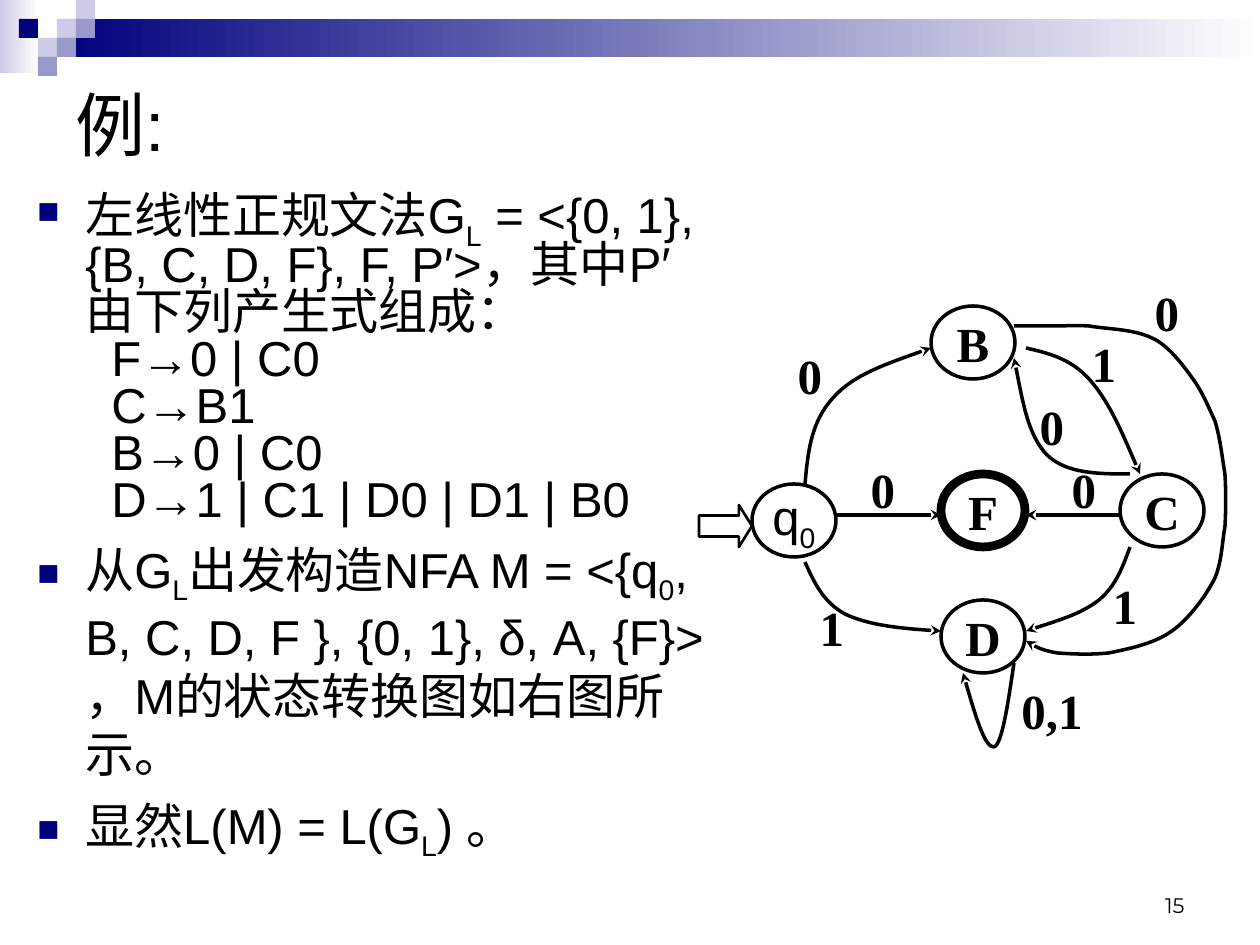
import pptx
import pptx.util
from pptx.dml.color import RGBColor
from pptx.enum.shapes import MSO_CONNECTOR, MSO_SHAPE
from pptx.enum.text import MSO_ANCHOR, PP_ALIGN
from pptx.oxml.ns import qn
from lxml import etree

SCALE = 914400 / 126
BLACK, NAVY, LILAC, VIOLET, WHITE = "000000", "00007D", "CCCCE6", "9999CC", "FFFFFF"
STATE_FONT = {"name": "Times New Roman", "size": 28, "bold": True}
BODY_FONT = {"name": "Arial", "size": 28}
TITLE_FONT = {"name": "Arial", "size": 40}
NUMBER_FONT = {"name": "Montserrat", "size": 12}
CENTERED = {"anchor": MSO_ANCHOR.MIDDLE, "align": PP_ALIGN.CENTER, "wrap": False}

TILE = 19
TILES = [(3, 1, LILAC), (4, 0, LILAC), (4, 1, VIOLET), (2, 2, LILAC),
         (1, 1, NAVY), (3, 2, VIOLET), (2, 3, VIOLET)]

GRAMMAR = ["左线性正规文法G", "L", " = <{0, 1}, {B, C, D, F}, F, P′>，其中P′由下列产生式组成："]
PRODUCTIONS = ["F→0 | C0", "C→B1", "B→0 | C0", "D→1 | C1 | D0 | D1 | B0"]
AUTOMATON = ["从G", "L", "出发构造NFA M = <{q", "0",
             ", B, C, D, F }, {0, 1}, δ, A, {F}> ，M的状态转换图如右图所示。"]
CONCLUSION = ["显然L(M) = L(G", "L", ") 。"]

STATES = [(["q", "0"], 752, 484, 2, BODY_FONT), (["B"], 931, 306, 2, STATE_FONT),
          (["C"], 1120, 474, 2, STATE_FONT), (["D"], 941, 600, 2, STATE_FONT),
          (["F"], 941, 474, 5, STATE_FONT)]
INPUTS = [("1", 1046, 326), ("0", 752, 338), ("0,1", 994, 673), ("1", 774, 590),
          ("1", 1067, 568), ("0", 994, 389), ("0", 1109, 275), ("0", 825, 452),
          ("0", 1026, 452)]
STRAIGHT_MOVES = [(837, 941), (1120, 1026)]
CURVED_MOVES = [
    [(1014, 663), (1008, 704), (1002, 745), (994, 747), (985, 748), (974, 711), (963, 673)],
    [(805, 484), (808, 452), (811, 422), (833, 398), (853, 375), (892, 362), (931, 348)],
    [(805, 562), (814, 582), (823, 602), (845, 614), (868, 625), (905, 629), (941, 631)],
    [(1130, 474), (1099, 474), (1067, 474), (1047, 455), (1028, 435), (1022, 397), (1014, 358)],
    [(1026, 348), (1047, 353), (1070, 358), (1089, 379), (1109, 401), (1124, 437), (1140, 474)],
    [(1130, 547), (1123, 566), (1116, 586), (1099, 600), (1081, 614), (1053, 622), (1026, 631)],
    [(1014, 326), (1029, 326), (1045, 326), (1057, 326), (1068, 326), (1072, 325), (1089, 326),
     (1105, 329), (1134, 329), (1152, 338), (1168, 345), (1183, 365), (1193, 379),
     (1203, 393), (1208, 406), (1215, 421), (1220, 437), (1222, 456), (1225, 474),
     (1226, 491), (1226, 509), (1225, 527), (1222, 543), (1222, 561), (1215, 578),
     (1206, 596), (1189, 619), (1172, 631), (1154, 644), (1128, 649), (1109, 653),
     (1090, 655), (1071, 654), (1057, 653), (1042, 650), (1033, 646), (1026, 641)],
]


def px(*lengths):
    """Turn px lengths into EMU."""
    return [pptx.util.Emu(round(length * SCALE)) for length in lengths]


def color(hex_code):
    """Turn a hex string into a colour."""
    return RGBColor.from_string(hex_code)


def add_child(parent, tag, **attributes):
    """Append a drawing element with its attributes."""
    return etree.SubElement(parent, qn(tag), attributes)


def write_runs(paragraph, pieces, font):
    """Write pieces that alternate between baseline and subscript."""
    for index, piece in enumerate(pieces):
        run = paragraph.add_run()
        run.text = piece
        for key, value in font.items():
            setattr(run.font, key, pptx.util.Pt(value) if key == "size" else value)
        run.font.color.rgb = color(BLACK)
        if index % 2:
            run.font._element.set("baseline", "-25000")


def write_text(shape, pieces, font, anchor, align, wrap=True):
    """Fill a shape with one aligned paragraph."""
    frame = shape.text_frame
    frame.word_wrap = wrap
    frame.vertical_anchor = anchor
    frame.paragraphs[0].alignment = align
    write_runs(frame.paragraphs[0], pieces, font)


def add_label(slide, box, text, font, **layout):
    """Add a one-line text box."""
    write_text(slide.shapes.add_textbox(*px(*box)), [text], font, **layout)


def add_block(slide, box, *colors):
    """Add a borderless rectangle, plain or fading to the right."""
    block = slide.shapes.add_shape(MSO_SHAPE.RECTANGLE, *px(*box))
    block.shadow.inherit = False
    block.line.fill.background()
    if len(colors) == 1:
        block.fill.solid()
        block.fill.fore_color.rgb = color(colors[0])
        return
    block.fill.gradient()
    block.fill.gradient_angle = 0
    for stop, position, hex_code in zip(block.fill.gradient_stops, (0, 1), colors):
        stop.position = position
        stop.color.rgb = color(hex_code)


def outline(shape, weight):
    """Give a shape or connector a black line."""
    shape.line.color.rgb = color(BLACK)
    shape.line.width = pptx.util.Pt(weight)


def add_hollow(slide, kind, box, weight):
    """Add an unfilled preset shape."""
    hollow = slide.shapes.add_shape(kind, *px(*box))
    hollow.shadow.inherit = False
    hollow.fill.background()
    outline(hollow, weight)
    return hollow


def add_arrowhead(move):
    """Put a stealth head on the far end of a move."""
    add_child(move.line._get_or_add_ln(), "a:tailEnd", type="stealth")


def add_straight_move(slide, start, end, level):
    """Add a level arrow between two states."""
    move = slide.shapes.add_connector(MSO_CONNECTOR.STRAIGHT, *px(start, level, end, level))
    outline(move, 2)
    add_arrowhead(move)
    add_child(move._element.spPr, "a:effectLst")


def add_curved_move(slide, points):
    """Add an arrow along cubic curves, three points to a curve."""
    builder = slide.shapes.build_freeform(*points[0], scale=SCALE)
    builder.add_line_segments(points[1:], close=False)
    move = builder.convert_to_shape()
    move.shadow.inherit = False
    move.fill.background()
    outline(move, 2)
    add_arrowhead(move)
    steps = list(move._element.iter(qn("a:lnTo")))
    route = steps[0].getparent()
    for first in range(0, len(steps), 3):
        curve = add_child(route, "a:cubicBezTo")
        for step in steps[first:first + 3]:
            curve.append(step[0])
            route.remove(step)


def format_paragraph(paragraph, margin, indent, **spacing):
    """Set the indents in px and the spacing of a paragraph."""
    properties = paragraph._p.get_or_add_pPr()
    for key, length in zip(("marL", "indent"), px(margin, indent)):
        properties.set(key, str(length))
    for key, value in spacing.items():
        setattr(paragraph, key, value)
    return properties


def add_bullet(properties):
    """Add a small navy square bullet."""
    add_child(add_child(properties, "a:buClr"), "a:srgbClr", val=NAVY)
    add_child(properties, "a:buSzPct", val="75000")
    add_child(properties, "a:buFont", typeface="Arial")
    add_child(properties, "a:buChar", char="■")


def add_body(slide):
    """Add the grammar, its productions and the automaton."""
    frame = slide.shapes.add_textbox(*px(25, 185, 694, 704)).text_frame
    frame.word_wrap = True
    gap = pptx.util.Pt(7)
    points = [(GRAMMAR, True, {"line_spacing": 0.8})]
    points += [([rule], False, {"line_spacing": 0.8}) for rule in PRODUCTIONS]
    points += [(pieces, True, {"space_before": gap}) for pieces in (AUTOMATON, CONCLUSION)]
    for index, (pieces, bulleted, spacing) in enumerate(points):
        paragraph = frame.add_paragraph() if index else frame.paragraphs[0]
        indents = (48, -48) if bulleted else (113, -39)
        properties = format_paragraph(paragraph, *indents, **spacing)
        if bulleted:
            add_bullet(properties)
        write_runs(paragraph, pieces, BODY_FONT)


def main():
    """Build the slide and save it."""
    deck = pptx.Presentation()
    deck.slide_width, deck.slide_height = px(1260, 945)
    slide = deck.slides.add_slide(deck.slide_layouts[6])
    add_block(slide, (0, 0, 39, 73), LILAC, WHITE)
    add_block(slide, (57, 19, 1203, 38), NAVY, WHITE)
    for column, row, shade in TILES:
        add_block(slide, (column * TILE, row * TILE, TILE, TILE), shade)
    add_label(slide, (63, 63, 1134, 122), "例:", TITLE_FONT,
              anchor=MSO_ANCHOR.MIDDLE, align=PP_ALIGN.LEFT)
    add_body(slide)
    for points in CURVED_MOVES:
        add_curved_move(slide, points)
    start_arrow = add_hollow(slide, MSO_SHAPE.RIGHT_ARROW, (699, 505, 53, 42), 1.5)
    start_arrow.adjustments[1] = 0.31
    for pieces, left, top, weight, font in STATES:
        state = add_hollow(slide, MSO_SHAPE.OVAL, (left, top, 84, 73), weight)
        write_text(state, pieces, font, **CENTERED)
    for start, end in STRAIGHT_MOVES:
        add_straight_move(slide, start, end, 515)
    for symbol, left, top in INPUTS:
        add_label(slide, (left, top, 116, 73), symbol, STATE_FONT, **CENTERED)
    add_label(slide, (903, 861, 294, 63), "15", NUMBER_FONT,
              anchor=MSO_ANCHOR.BOTTOM, align=PP_ALIGN.RIGHT)
    deck.save("out.pptx")


if __name__ == "__main__":
    main()
